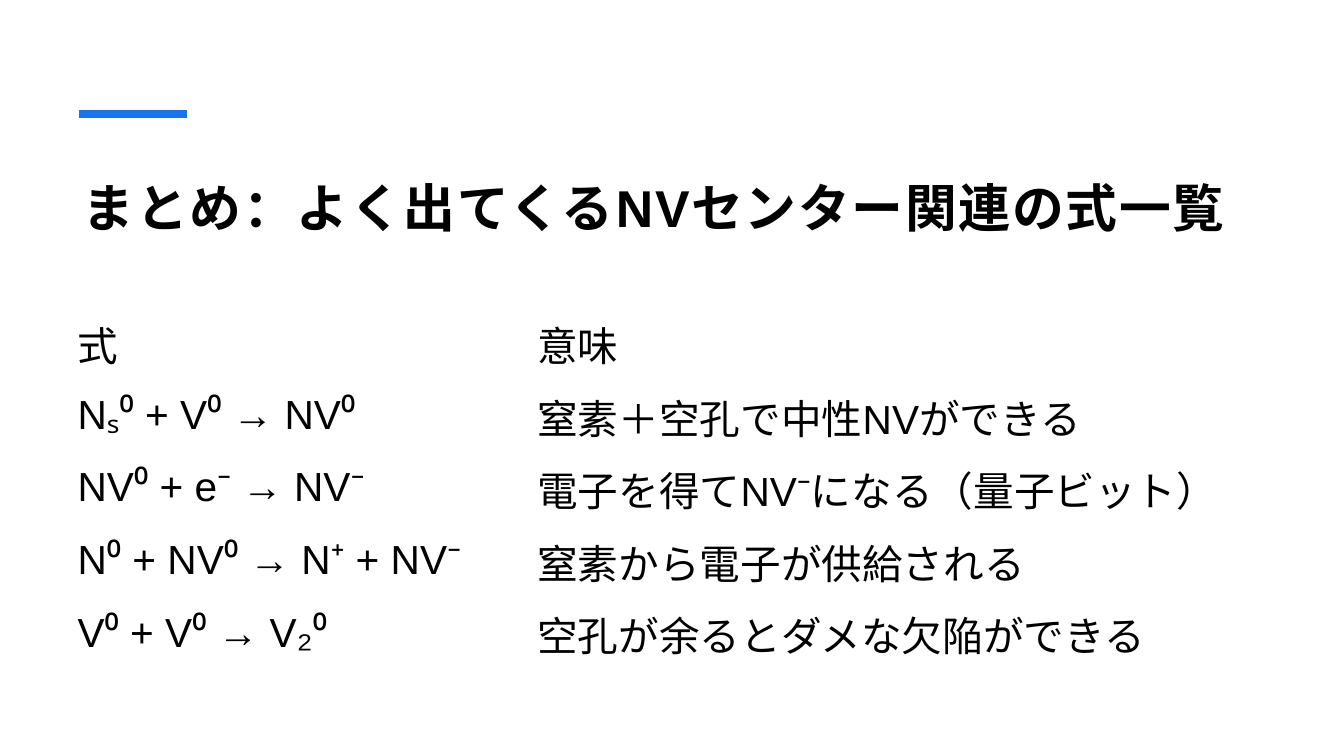
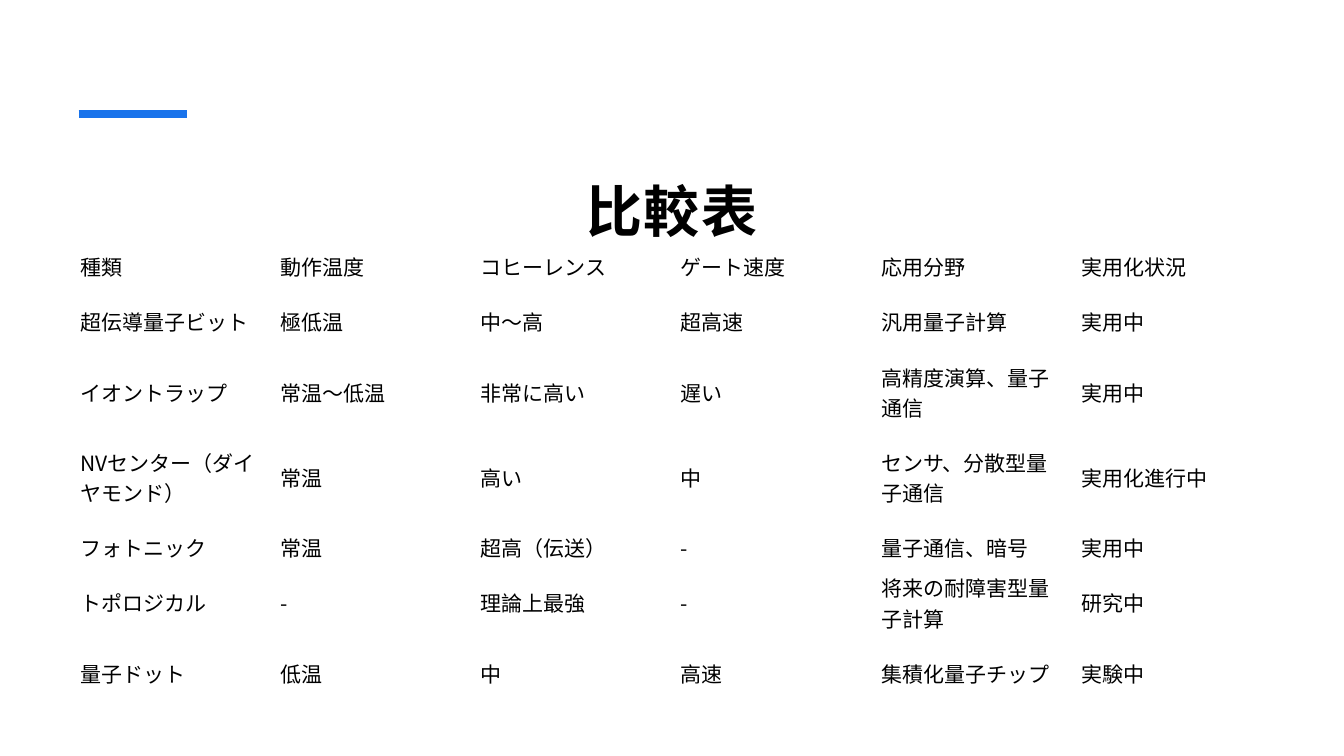
from lxml import etree
from pptx import Presentation
from pptx.dml.color import RGBColor
from pptx.enum.shapes import MSO_CONNECTOR as Line
from pptx.enum.text import MSO_ANCHOR as Anchor, PP_ALIGN as Align
from pptx.oxml.ns import qn
from pptx.util import Inches, Pt

BLACK = "000000"
BLUE = "1973EB"
LATIN = "Arial"
ASIAN = "Noto Sans CJK JP"


def paint(color, value):
    color.rgb = RGBColor.from_string(value)


def write(para, text, size, face, bold=False):
    run = para.add_run()
    run.text = text
    run.font.size = Pt(size)
    run.font.bold = bold
    paint(run.font.fill.solid() or run.font.color, BLACK)
    run.font.name = face
    props = run._r.get_or_add_rPr()
    etree.SubElement(props, qn("a:ea")).set("typeface", ASIAN)
    return props


sums = [
    ["式", "意味"],
    ["Nₛ⁰ + V⁰ → NV⁰", "窒素＋空孔で中性NVができる"],
    ["NV⁰ + e⁻ → NV⁻", "電子を得てNV⁻になる（量子ビット）"],
    ["N⁰ + NV⁰ → N⁺ + NV⁻", "窒素から電子が供給される"],
    ["V⁰ + V⁰ → V₂⁰", "空孔が余るとダメな欠陥ができる"],
]
kinds = [
    ["種類", "動作温度", "コヒーレンス", "ゲート速度", "応用分野", "実用化状況"],
    ["超伝導量子ビット", "極低温", "中〜高", "超高速", "汎用量子計算", "実用中"],
    ["イオントラップ", "常温〜低温", "非常に高い", "遅い", "高精度演算、量子通信", "実用中"],
    ["NVセンター（ダイヤモンド）", "常温", "高い", "中", "センサ、分散型量子通信", "実用化進行中"],
    ["フォトニック", "常温", "超高（伝送）", "-", "量子通信、暗号", "実用中"],
    ["トポロジカル", "-", "理論上最強", "-", "将来の耐障害型量子計算", "研究中"],
    ["量子ドット", "低温", "中", "高速", "集積化量子チップ", "実験中"],
]
pages = [
    dict(title="まとめ：よく出てくるNVセンター関連の式一覧", box=(0.7, 1.5, 11.91, 1.2),
         align=Align.LEFT, big=37, face=LATIN, data=sums, spot=(0.61, 3.04),
         cols=[4.56, 7.44], rows=[0.72] * 5, small=29, pad=(0.16, 0.08)),
    dict(title="比較表", box=(0.72, 1.5, 11.89, 0.86),
         align=Align.CENTER, big=40, face=ASIAN, data=kinds, spot=(0.72, 2.44),
         cols=[11.91 / 6] * 6, rows=[0.4, 0.7, 0.7, 0.99, 0.4, 0.7, 0.7],
         small=15, pad=(0.08, 0.04)),
]

deck = Presentation()
deck.slide_width = Inches(13.33)
deck.slide_height = Inches(7.5)

for page in pages:
    slide = deck.slides.add_slide(deck.slide_layouts[6])

    bar = slide.shapes.add_connector(
        Line.STRAIGHT, Inches(0.78), Inches(1.13), Inches(1.85), Inches(1.13))
    bar.line.width = Pt(6)
    paint(bar.line.color, BLUE)
    etree.SubElement(bar._element.spPr, qn("a:effectLst"))

    frame = slide.shapes.add_textbox(*map(Inches, page["box"])).text_frame
    frame.word_wrap = True
    frame.vertical_anchor = Anchor.TOP
    frame.margin_left = frame.margin_right = frame.margin_top = Inches(0.12)
    frame.margin_bottom = Inches(0.1)
    para = frame.paragraphs[0]
    para.alignment = page["align"]
    para.line_spacing = 1.2
    write(para, page["title"], page["big"], page["face"], True).set("spc", "130")

    cols, rows = page["cols"], page["rows"]
    table = slide.shapes.add_table(
        len(rows), len(cols), *map(Inches, page["spot"]),
        Inches(sum(cols)), Inches(sum(rows))).table
    table.first_row = table.horz_banding = False
    for col, width in zip(table.columns, cols):
        col.width = Inches(width)
    side, edge = map(Inches, page["pad"])
    for row, high, texts in zip(table.rows, rows, page["data"]):
        row.height = Inches(high)
        for cell, text in zip(row.cells, texts):
            cell.fill.background()
            cell.vertical_anchor = Anchor.MIDDLE
            cell.margin_left = cell.margin_right = side
            cell.margin_top = cell.margin_bottom = edge
            write(cell.text_frame.paragraphs[0], text, page["small"], page["face"])

deck.save("out.pptx")
